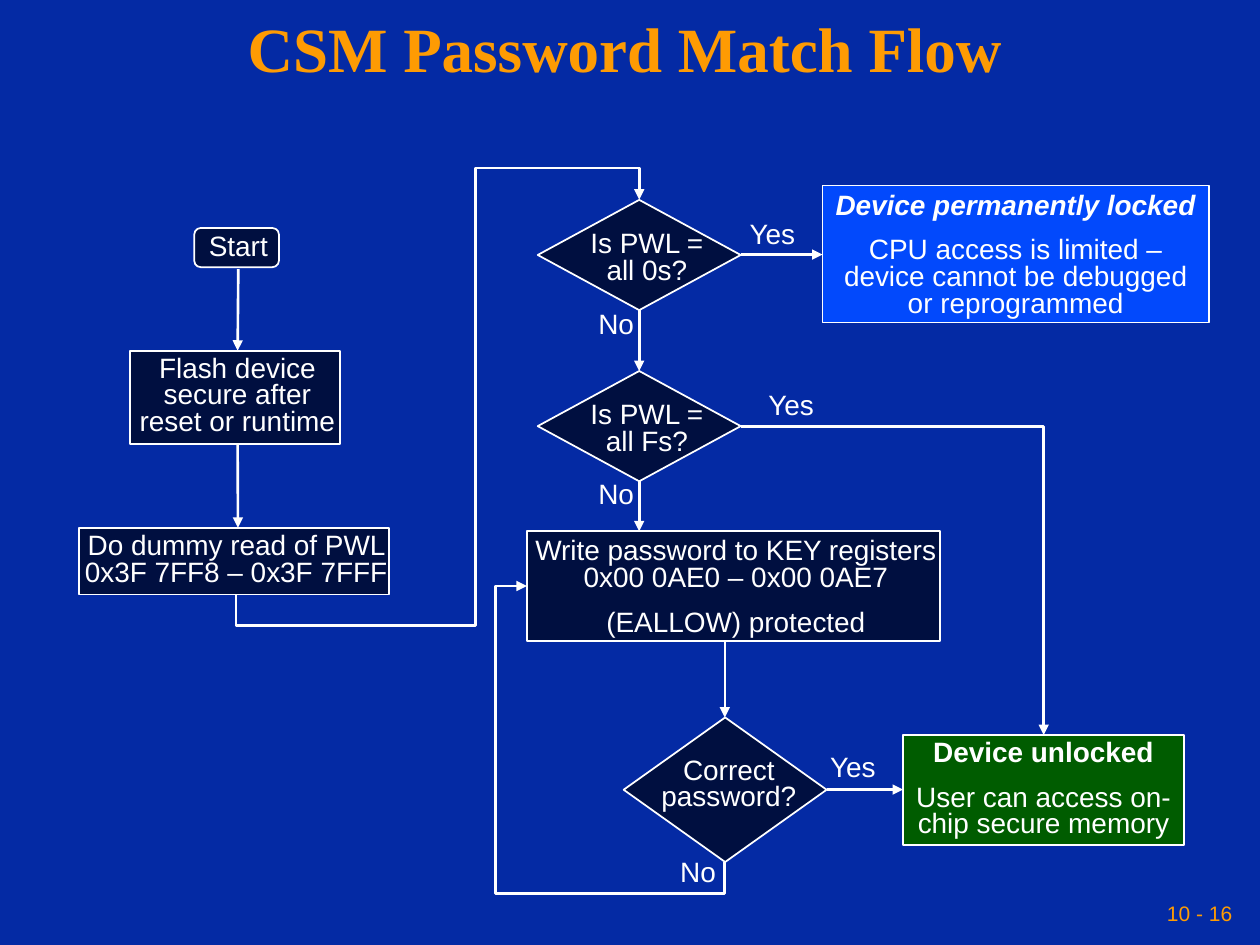
from dataclasses import dataclass

from lxml.etree import SubElement
from pptx import Presentation
from pptx.dml.color import RGBColor
from pptx.enum.shapes import MSO_CONNECTOR, MSO_SHAPE
from pptx.enum.text import MSO_ANCHOR, MSO_AUTO_SIZE, PP_ALIGN
from pptx.oxml.ns import qn
from pptx.util import Pt


@dataclass(frozen=True)
class Theme:
    background: str = "042AA4"
    accent: str = "FE9B03"
    white: str = "FFFFFF"
    navy: str = "000F40"
    blue: str = "0249FC"
    green: str = "005C00"
    title_font: str = "Times New Roman"
    body_font: str = "Arial"
    title_size: float = 36
    body_size: float = 16
    number_size: float = 12
    outline: float = 1
    arrow: float = 1.5


THEME = Theme()
Box = tuple[float, float, float, float]  # left, top, width, height


@dataclass(frozen=True)
class Node:
    shape: MSO_SHAPE
    box: Box
    text_box: Box
    lines: tuple[str, ...]
    fill: str = THEME.navy
    heading_bold: bool = False
    heading_italic: bool = False
    wrap: bool = True


@dataclass(frozen=True)
class Label:
    text: str
    left: float
    top: float
    width: float


@dataclass(frozen=True)
class Arrow:
    start: tuple[float, float]
    end: tuple[float, float]
    preset: str = "line"
    rotation: int = 0
    flips: str = ""
    adjustments: tuple[float, ...] = ()


def color(value: str) -> RGBColor:
    return RGBColor.from_string(value)


def points(values: tuple[float, ...]) -> list[Pt]:
    return [Pt(value) for value in values]


def style_font(paragraph, size: float, font_color: str, name: str = THEME.body_font) -> None:
    paragraph.font.size = Pt(size)
    paragraph.font.name = name
    paragraph.font.color.rgb = color(font_color)


def set_margins(frame, horizontal: float, vertical: float) -> None:
    frame.margin_left = frame.margin_right = Pt(horizontal)
    frame.margin_top = frame.margin_bottom = Pt(vertical)


def add_text(shapes, box: Box, lines: tuple[str, ...], wrap: bool):
    """Add body text, centred when it wraps."""
    frame = shapes.add_textbox(*points(box)).text_frame
    frame.word_wrap = wrap
    frame.auto_size = MSO_AUTO_SIZE.SHAPE_TO_FIT_TEXT
    set_margins(frame, 7.2, 3.6)
    frame.text = "\n".join(lines)
    for paragraph in frame.paragraphs:
        paragraph.alignment = PP_ALIGN.CENTER if wrap else PP_ALIGN.LEFT
        paragraph.line_spacing = 0.8
        paragraph.space_before = Pt(10)
        style_font(paragraph, THEME.body_size, THEME.white)
    return frame


def add_node(slide, node: Node) -> None:
    group = slide.shapes.add_group_shape()
    shape = group.shapes.add_shape(node.shape, *points(node.box))
    shape.shadow.inherit = False
    shape.fill.solid()
    shape.fill.fore_color.rgb = color(node.fill)
    shape.line.color.rgb = color(THEME.white)
    shape.line.width = Pt(THEME.outline)
    frame = add_text(group.shapes, node.text_box, node.lines, node.wrap)
    heading = frame.paragraphs[0]
    heading.font.bold = node.heading_bold
    heading.font.italic = node.heading_italic


def add_arrow(slide, arrow: Arrow) -> None:
    kind = MSO_CONNECTOR.STRAIGHT if arrow.preset == "line" else MSO_CONNECTOR.ELBOW
    connector = slide.shapes.add_connector(kind, *points(arrow.start + arrow.end))
    connector.line.color.rgb = color(THEME.white)
    connector.line.width = Pt(THEME.arrow)
    properties = connector.element.spPr

    # Arrowhead and no shadow
    line = properties.find(qn("a:ln"))
    SubElement(line, qn("a:tailEnd"), type="triangle")
    SubElement(properties, qn("a:effectLst"))

    # Elbow route
    geometry = properties.find(qn("a:prstGeom"))
    geometry.set("prst", arrow.preset)
    values = geometry.find(qn("a:avLst"))
    for number, value in enumerate(arrow.adjustments, 1):
        SubElement(values, qn("a:gd"), name=f"adj{number}", fmla=f"val {round(value * 100000)}")
    transform = properties.find(qn("a:xfrm"))
    if arrow.rotation:
        transform.set("rot", str(arrow.rotation * 60000))
    for flip in arrow.flips:
        transform.set(f"flip{flip}", "1")


RECTANGLE = MSO_SHAPE.RECTANGLE
DECISION = MSO_SHAPE.FLOWCHART_DECISION

NODES = (
    Node(RECTANGLE, (74.2, 200.4, 120.2, 53.3), (69.8, 200.2, 131.8, 53.3),
         ("Flash device secure after reset or runtime",)),
    Node(RECTANGLE, (45.2, 301.6, 177, 38.2), (33.8, 301.6, 202.3, 38.2),
         ("Do dummy read of PWL 0x3F 7FF8 – 0x3F 7FFF",)),
    Node(MSO_SHAPE.ROUNDED_RECTANGLE, (111, 130.3, 48.4, 22.4), (112.3, 131, 48.2, 23),
         ("Start",), wrap=False),
    Node(RECTANGLE, (470, 106, 221, 78.4), (466.6, 107.3, 227.5, 79.2),
         ("Device permanently locked",
          "CPU access is limited – device cannot be debugged or reprogrammed"),
         THEME.blue, heading_bold=True, heading_italic=True),
    Node(RECTANGLE, (516, 420, 160.6, 63), (516, 420, 160.6, 63.4),
         ("Device unlocked", "User can access on-chip secure memory"),
         THEME.green, heading_bold=True),
    Node(RECTANGLE, (301, 303.6, 236.2, 62.8), (295.2, 304.6, 250.6, 63.4),
         ("Write password to KEY registers 0x00 0AE0 – 0x00 0AE7", "(EALLOW) protected")),
    Node(DECISION, (356.4, 410, 116, 82.6), (367.2, 430, 98.6, 38.2),
         ("Correct password?",)),
    Node(DECISION, (307.3, 212, 116, 63), (320.4, 226.8, 98.6, 38.2),
         ("Is PWL = all Fs?",)),
    Node(DECISION, (307.3, 114.2, 116, 63), (320.4, 128.9, 98.6, 38.2),
         ("Is PWL = all 0s?",)),
)

ARROWS = (
    Arrow((136.2, 153.8), (135.8, 200.4)),
    Arrow((135.8, 253.8), (136, 301.6)),
    Arrow((423.3, 145.5), (470, 145.5)),
    Arrow((365.3, 177.2), (365.3, 212)),
    Arrow((365.3, 275), (365.3, 303.6)),
    Arrow((414.2, 366.4), (414.2, 410)),
    Arrow((472.4, 451.2), (516, 451.2)),
    # Dummy read to first decision
    Arrow((137.4, 111.6), (362.8, 342), "bentConnector5", 90, "HV", (-0.08, 0.594, 1.08)),
    # Second decision to unlocked
    Arrow((423.3, 243.6), (596.4, 420), "bentConnector2"),
    # Wrong password back to the key write
    Arrow((278.7, 357.2), (436.4, 470.2), "bentConnector4", 270, "V", (-0.114, 1.159)),
)

LABELS = (
    Label("Yes", 432, 221.8, 41.8),
    Label("Yes", 467.2, 428.6, 41.8),
    Label("Yes", 421.2, 123.8, 41.8),
    Label("No", 381.6, 488.2, 34.6),
    Label("No", 334.8, 272.2, 34.6),
    Label("No", 334.8, 175.6, 34.6),
)


def main() -> None:
    presentation = Presentation()
    presentation.slide_width, presentation.slide_height = Pt(720), Pt(540)
    slide = presentation.slides.add_slide(presentation.slide_layouts[5])
    slide.background.fill.solid()
    slide.background.fill.fore_color.rgb = color(THEME.background)

    # Title
    title = slide.shapes.title
    title.left, title.top, title.width, title.height = points((0, 0, 714, 60))
    frame = title.text_frame
    frame.text = "CSM Password Match Flow"
    frame.auto_size = MSO_AUTO_SIZE.NONE
    frame.vertical_anchor = MSO_ANCHOR.MIDDLE
    set_margins(frame, 3.6, 3.6)
    paragraph = frame.paragraphs[0]
    paragraph.alignment = PP_ALIGN.CENTER
    paragraph.line_spacing = 0.9
    style_font(paragraph, THEME.title_size, THEME.accent, THEME.title_font)
    paragraph.font.bold = True

    # Flow chart
    for node in NODES:
        add_node(slide, node)
    for arrow in ARROWS:
        add_arrow(slide, arrow)
    for label in LABELS:
        add_text(slide.shapes, (label.left, label.top, label.width, 23), (label.text,), False)

    # Page number
    frame = slide.shapes.add_textbox(*points((491.8, 509.8, 216, 23.8))).text_frame
    frame.word_wrap = True
    frame.vertical_anchor = MSO_ANCHOR.MIDDLE
    set_margins(frame, 3.6, 3.6)
    frame.text = "10 - 16"
    frame.paragraphs[0].alignment = PP_ALIGN.RIGHT
    style_font(frame.paragraphs[0], THEME.number_size, THEME.accent)

    presentation.save("out.pptx")


main()
